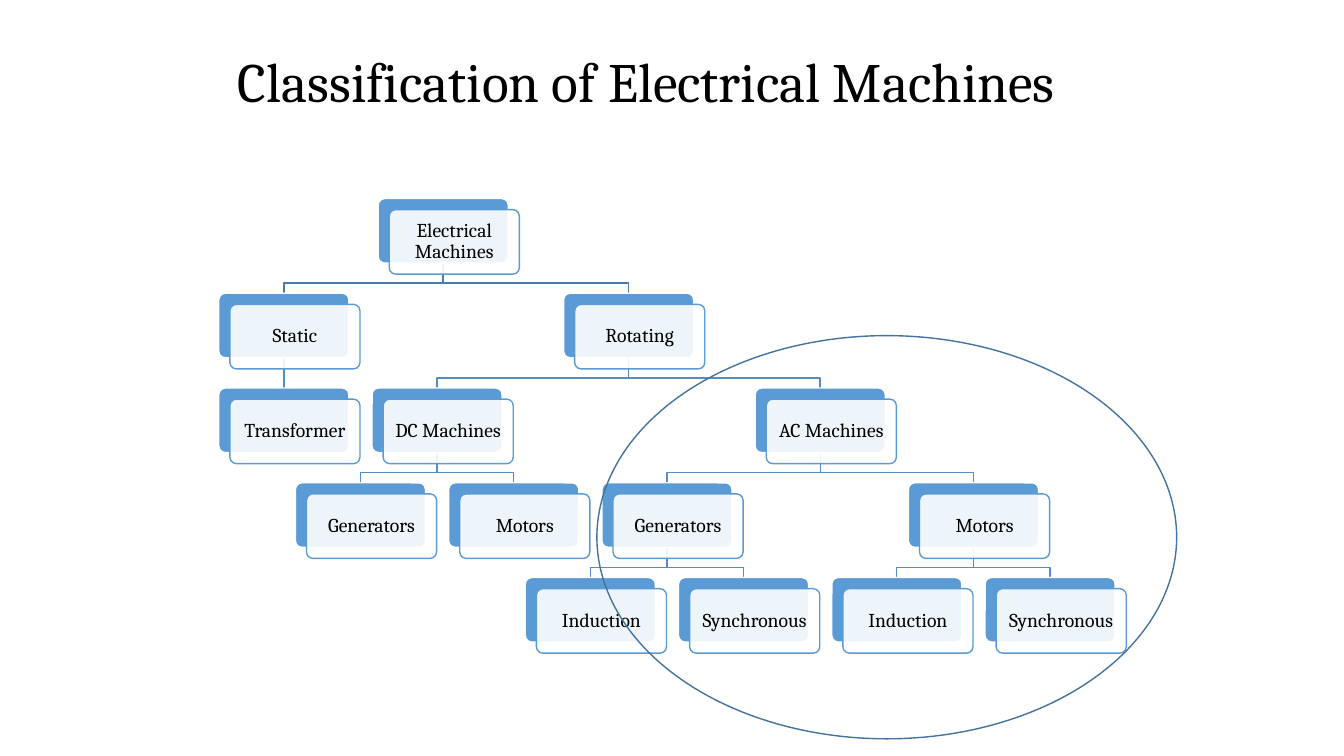
from lxml.etree import SubElement
from pptx import Presentation
from pptx.dml.color import RGBColor
from pptx.enum.shapes import MSO_CONNECTOR as Link, MSO_SHAPE as Shape
from pptx.enum.text import MSO_ANCHOR as Anchor, MSO_AUTO_SIZE as AutoSize, PP_ALIGN as Align
from pptx.oxml.ns import qn
from pptx.util import Inches, Pt

LEFT, TOP = 2.17, 1.97  # back plate of column 0, row 0
COLUMN, ROW = 0.76, 0.94
WIDTH, HEIGHT = 1.29, 0.64
OFFSET = 0.11  # front plate relative to back plate
ELBOW = 0.2  # drop from a parent to its horizontal branch
BLUE, WHITE, BLACK = "5B9BD5", "FFFFFF", "000000"

# label, column, row, index of the parent
MACHINES = [
    ("Electrical Machines", 2.08, 0, None),
    ("Static", 0, 1, 0),
    ("Transformer", 0, 2, 1),
    ("Rotating", 4.5, 1, 0),
    ("DC Machines", 2, 2, 3),
    ("Generators", 1, 3, 4),
    ("Motors", 3, 3, 4),
    ("AC Machines", 7, 2, 3),
    ("Generators", 5, 3, 7),
    ("Induction", 4, 4, 8),
    ("Synchronous", 6, 4, 8),
    ("Motors", 9, 3, 7),
    ("Induction", 8, 4, 11),
    ("Synchronous", 10, 4, 11),
]


def paint(shape, fill, line):
    """Set a solid fill, or none, and a one-point outline without shadow."""
    shape.shadow.inherit = False
    if fill:
        shape.fill.solid()
        shape.fill.fore_color.rgb = RGBColor.from_string(fill)
    else:
        shape.fill.background()
    shape.line.color.rgb = RGBColor.from_string(line)
    shape.line.width = Pt(1)


def write(frame, text, size, align):
    frame.word_wrap = True
    frame.auto_size = AutoSize.NONE
    frame.vertical_anchor = Anchor.MIDDLE
    para = frame.paragraphs[0]
    para.alignment, para.line_spacing = align, 0.9
    span = para.add_run()
    span.text = text
    for name, value in {"name": "Cambria", "size": Pt(size)}.items():
        setattr(span.font, name, value)
    span.font.color.rgb = RGBColor.from_string(BLACK)


deck = Presentation()
deck.slide_width, deck.slide_height = Inches(13.33), Inches(7.5)
page = deck.slides.add_slide(deck.slide_layouts[5])
shapes = page.shapes

title = shapes.title
title.left, title.top, title.width, title.height = map(Inches, (2.26, 0.21, 9, 1.25))
write(title.text_frame, "Classification of Electrical Machines", 39.6, Align.LEFT)

# Branches lie behind the boxes
for label, column, row, parent in MACHINES[1:]:
    parent_column, parent_row = MACHINES[parent][1:3]
    start_x, end_x = (Inches(LEFT + COLUMN * c + WIDTH / 2) for c in (parent_column, column))
    start_y = Inches(TOP + ROW * parent_row + HEIGHT)
    end_y = Inches(TOP + ROW * row)
    color = "497CAB" if parent == 0 else "538DC1"
    if start_x == end_x:
        branch = shapes.add_connector(Link.STRAIGHT, start_x, start_y, end_x, end_y)
        branch.line.color.rgb = RGBColor.from_string(color)
        branch.line.width = Pt(1)
        SubElement(branch.line._get_or_add_ln().getparent(), qn("a:effectLst"))
    else:
        bend_y = start_y + Inches(ELBOW)
        outline = shapes.build_freeform(start_x, start_y)
        outline.add_line_segments([(start_x, bend_y), (end_x, bend_y), (end_x, end_y)], close=False)
        paint(outline.convert_to_shape(), None, color)

for label, column, row, parent in MACHINES:
    for shift, fill, line in ((0, BLUE, WHITE), (OFFSET, WHITE, BLUE)):
        place = (LEFT + COLUMN * column + shift, TOP + ROW * row + shift, WIDTH, HEIGHT)
        box = shapes.add_shape(Shape.ROUNDED_RECTANGLE, *map(Inches, place))
        box.adjustments[0] = 0.1
        paint(box, fill, line)
    # The front plate is slightly see-through and carries the label
    tint = box.fill._xPr.find(qn("a:solidFill"))[0]
    SubElement(tint, qn("a:alpha"), val="90000")
    for side in ("left", "top", "right", "bottom"):
        setattr(box.text_frame, f"margin_{side}", Inches(0.06))
    write(box.text_frame, label, 14, Align.CENTER)

highlight = shapes.add_shape(Shape.OVAL, *map(Inches, (5.92, 3.33, 5.75, 4)))
paint(highlight, None, "43739E")

deck.save("out.pptx")
